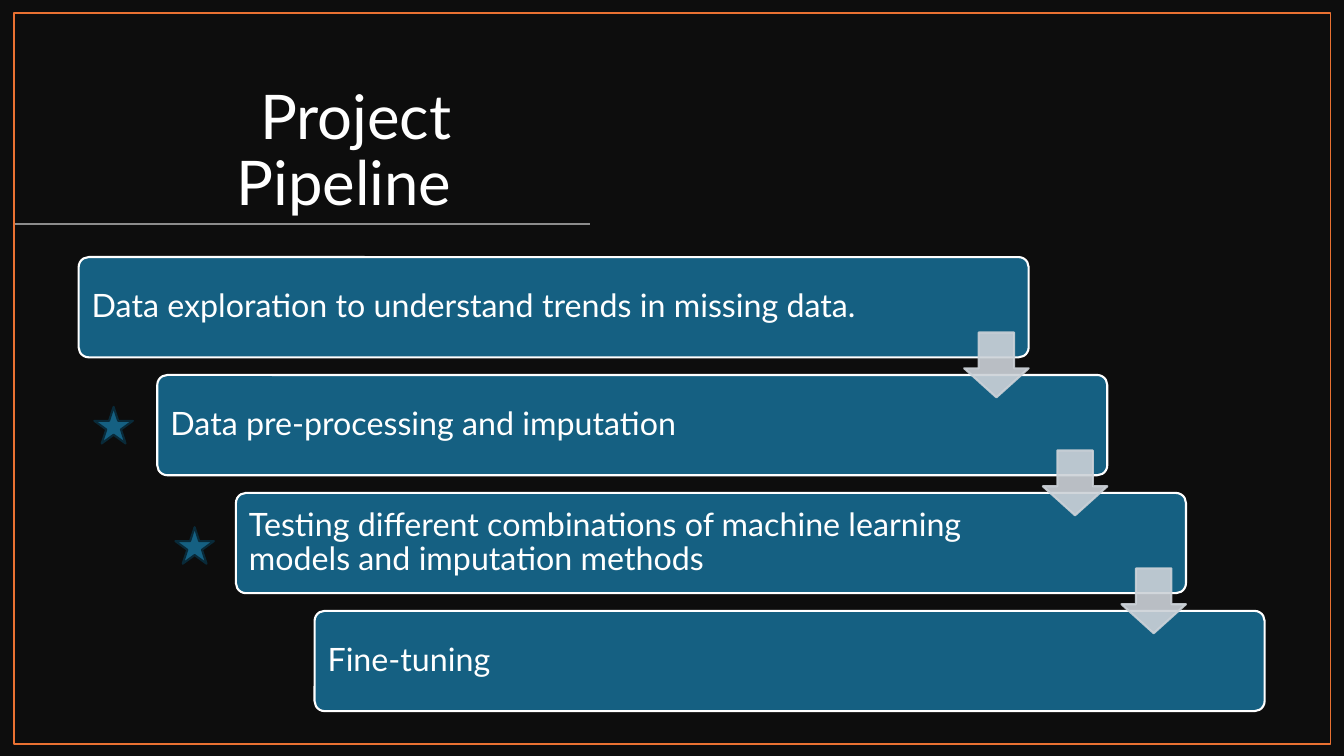
from pptx import Presentation
from pptx.dml.color import RGBColor
from pptx.enum.shapes import MSO_CONNECTOR as Connector, MSO_SHAPE as Shape
from pptx.enum.text import MSO_ANCHOR as Anchor, PP_ALIGN as Align
from pptx.oxml.ns import qn
from pptx.util import Inches, Pt
from lxml.etree import SubElement

BLACK = RGBColor(0x0D, 0x0D, 0x0D)
WHITE = RGBColor(0xFF, 0xFF, 0xFF)
ORANGE = RGBColor(0xE9, 0x71, 0x32)
GRAY = RGBColor(0x8C, 0x8C, 0x8C)
BLUE = RGBColor(0x15, 0x60, 0x82)
NAVY = RGBColor(0x09, 0x2A, 0x39)
SILVER = RGBColor(0xCC, 0xD2, 0xD8)

STEPS = [
    "Data exploration to understand trends in missing data.",
    "Data pre-processing and imputation",
    "Testing different combinations of machine learning models and imputation methods",
    "Fine-tuning",
]
FIRST_COLUMN, FIRST_ROW = 1, 2.18
BOX_COLUMNS, BOX_ROWS = 12.08, 0.85
ARROW_COLUMNS, ARROW_ROWS = 0.82, 0.55
STARS = [(1.2, 3.45), (2.23, 4.47)]


def write(frame, text, size=23, color=WHITE, font="Lato", align=Align.LEFT):
    para = frame.paragraphs[0]
    para.alignment = align
    para.line_spacing = 0.9
    span = para.add_run()
    span.text = text
    span.font.size = Pt(size)
    span.font.name = font
    span.font.color.rgb = color


def set_opacity(paint, percent):
    color = paint._xPr.find(qn("a:solidFill"))[0]
    SubElement(color, qn("a:alpha")).set("val", str(percent * 1000))


class Canvas:
    """Places elements on a page by columns and rows; each step moves one of both."""

    column = Inches(0.78)
    row = Inches(1.17)

    def __init__(self, page):
        self.page = page

    def place(self, left, top, width, height):
        return (round(left * self.column), round(top * self.row),
                round(width * self.column), round(height * self.row))

    def shape(self, kind, area, fill=None, line=None, weight=1.5,
              adjust=(), opacity=100):
        shape = self.page.shapes.add_shape(kind, *self.place(*area))
        shape.shadow.inherit = False
        for index, value in enumerate(adjust):
            shape.adjustments[index] = value
        for paint, color in ((shape.fill, fill), (shape.line.fill, line)):
            if color is None:
                paint.background()
                continue
            paint.solid()
            paint.fore_color.rgb = color
            if opacity < 100:
                set_opacity(paint, opacity)
        if line is not None:
            shape.line.width = Pt(weight)

    def text(self, text, area, anchor=Anchor.MIDDLE, margin=0.1, **style):
        box = self.page.shapes.add_textbox(*self.place(*area))
        frame = box.text_frame
        frame.word_wrap = True
        frame.vertical_anchor = anchor
        frame.margin_left = frame.margin_right = Inches(0.1)
        frame.margin_top = frame.margin_bottom = Inches(margin)
        write(frame, text, **style)

    def rule(self, start, end, row, color):
        y = round(row * self.row)
        line = self.page.shapes.add_connector(
            Connector.STRAIGHT, round(start * self.column), y,
            round(end * self.column), y)
        line.line.color.rgb = color
        line.line.width = Pt(1)
        SubElement(line._element.spPr, qn("a:effectLst"))


def main():
    deck = Presentation()
    deck.slide_width, deck.slide_height = Inches(13.33), Inches(7.5)
    canvas = Canvas(deck.slides.add_slide(deck.slide_layouts[6]))

    # Backdrop, title and frame
    canvas.shape(Shape.RECTANGLE, (0, 0, deck.slide_width / canvas.column,
                                   deck.slide_height / canvas.row), fill=BLACK)
    canvas.text("Project Pipeline", (0.36, 0.66, 5.51, 1.24),
                anchor=Anchor.BOTTOM, margin=0.05, size=44, align=Align.RIGHT)
    canvas.rule(7.5, 0.18, 1.9, GRAY)
    canvas.shape(Shape.RECTANGLE, (0.18, 0.11, 16.74, 6.2), line=ORANGE, weight=1)

    # Staircase of steps
    for index, step in enumerate(STEPS):
        left, top = FIRST_COLUMN + index, FIRST_ROW + index
        canvas.shape(Shape.ROUNDED_RECTANGLE, (left, top, BOX_COLUMNS, BOX_ROWS),
                     fill=BLUE, line=WHITE, adjust=[0.1])
        canvas.text(step, (left + 0.04, top + 0.03, 10.2, 0.79))

    # Arrows at the right end of each step but the last
    for index in range(len(STEPS) - 1):
        left = FIRST_COLUMN + index + BOX_COLUMNS - ARROW_COLUMNS
        canvas.shape(Shape.DOWN_ARROW,
                     (left, FIRST_ROW + index + 0.64, ARROW_COLUMNS, ARROW_ROWS),
                     fill=SILVER, line=SILVER, adjust=[0.55, 0.45], opacity=90)

    # Stars beside the key steps
    for left, top in STARS:
        canvas.shape(Shape.STAR_5_POINT, (left, top, 0.49, 0.31),
                     fill=BLUE, line=NAVY)

    deck.save("out.pptx")


if __name__ == "__main__":
    main()
